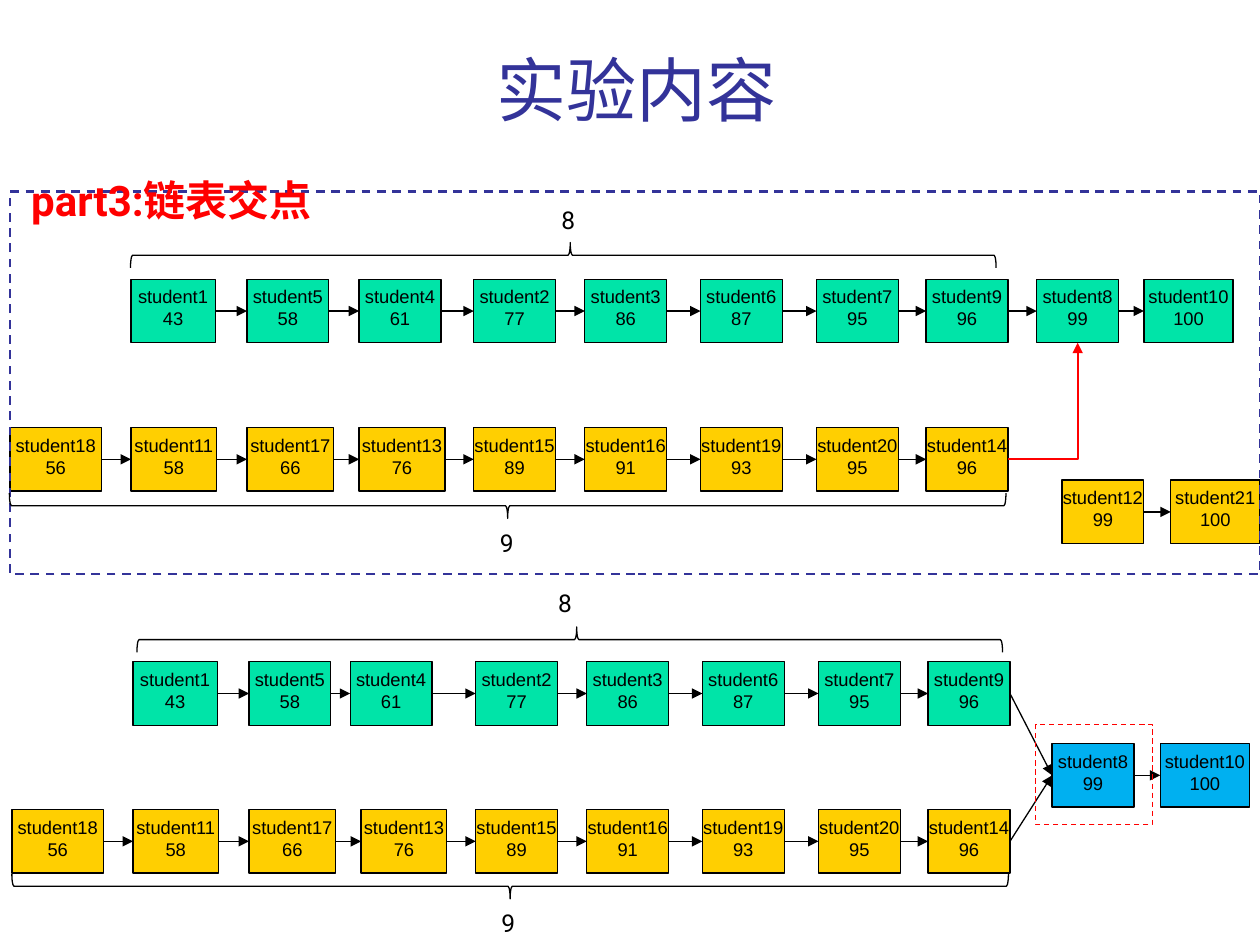
"""Build the slide on two linked lists of students that meet at one node."""
from dataclasses import dataclass
from itertools import pairwise

from lxml.etree import SubElement
from pptx import Presentation
from pptx.dml.color import RGBColor
from pptx.enum.dml import MSO_LINE
from pptx.enum.shapes import MSO_CONNECTOR, MSO_SHAPE
from pptx.enum.text import MSO_ANCHOR, PP_ALIGN
from pptx.oxml.ns import qn
from pptx.util import Cm, Pt


@dataclass(frozen=True)
class Theme:
    black: RGBColor = RGBColor(0x00, 0x00, 0x00)
    red: RGBColor = RGBColor(0xFF, 0x00, 0x00)
    navy: RGBColor = RGBColor(0x33, 0x33, 0x99)
    green: RGBColor = RGBColor(0x00, 0xE4, 0xA8)
    gold: RGBColor = RGBColor(0xFF, 0xCF, 0x01)
    blue: RGBColor = RGBColor(0x00, 0xB0, 0xF0)
    heading: str = "Roboto"
    body: str = "Arial"
    title_size: float = 40
    part_size: float = 24
    count_size: float = 14
    node_size: float = 10.5


theme = Theme()


def write(frame, lines, color, align, frame_format, font_format):
    for name, value in frame_format.items():
        setattr(frame, name, value)
    frame.text = "\n".join(lines)
    for paragraph in frame.paragraphs:
        paragraph.alignment = align
        for name, value in font_format.items():
            setattr(paragraph.runs[0].font, name, value)
        paragraph.runs[0].font.color.rgb = color


def add_outline(preset, box, color, weight=0.75, fill=None, dash=None):
    shape = slide.shapes.add_shape(preset, *map(Cm, box))
    shape.shadow.inherit = False
    if fill is None:
        shape.fill.background()
    else:
        shape.fill.solid()
        shape.fill.fore_color.rgb = fill
    shape.line.color.rgb = color
    for name, value in {"width": Pt(weight), "dash_style": dash}.items():
        setattr(shape.line, name, value)
    return shape


deck = Presentation()
deck.slide_width, deck.slide_height = Cm(25.4), Cm(19.05)
slide = deck.slides.add_slide(deck.slide_layouts[5])

title = slide.shapes.title
title_box = {"left": Cm(2.11), "top": Cm(0.64), "width": Cm(21.44), "height": Cm(2.11)}
for name, value in title_box.items():
    setattr(title, name, value)
write(title.text_frame, ["实验内容"], theme.navy, PP_ALIGN.CENTER,
      {"vertical_anchor": MSO_ANCHOR.BOTTOM, "word_wrap": True},
      {"name": theme.heading, "size": Pt(theme.title_size)})

scores = {1: 43, 5: 58, 4: 61, 2: 77, 3: 86, 6: 87, 7: 95, 9: 96, 8: 99, 10: 100,
          18: 56, 11: 58, 17: 66, 13: 76, 15: 89, 16: 91, 19: 93, 20: 95, 14: 96,
          12: 99, 21: 100}
node_widths = {1: 1.7, 10: 1.8, 21: 1.8, 18: 1.85, 11: 1.73, 17: 1.75, 13: 1.73}
node_height = 1.28
columns = [0.2, 2.64, 4.98, 7.24, 9.55, 11.79, 14.12, 16.46, 18.67, 20.9, 23.06]
merged_columns = [left + 0.04 for left in columns]
merged_green = [7.06 if left == columns[3] else left + 0.04 for left in columns]
green_students = [1, 5, 4, 2, 3, 6, 7, 9]
gold_students = [18, 11, 17, 13, 15, 16, 19, 20, 14]

chains = [
    ("separate", theme.green, 5.63, columns[1:], green_students + [8, 10]),
    ("separate", theme.gold, 8.62, columns, gold_students),
    ("separate", theme.gold, 9.68, [21.41, 23.6], [12, 21]),
    ("merged", theme.green, 13.34, merged_green[1:], green_students),
    ("merged", theme.gold, 16.32, merged_columns, gold_students),
    ("merged", theme.blue, 14.99, [21.21, 23.39], [8, 10]),
]
nodes = {}
links = []
for stage, fill, top, lefts, students in chains:
    for left, student in zip(lefts, students):
        box = (left, top, node_widths.get(student, 1.65), node_height)
        node = add_outline(MSO_SHAPE.RECTANGLE, box, theme.black, fill=fill)
        write(node.text_frame, [f"student{student}", str(scores[student])],
              theme.black, PP_ALIGN.CENTER,
              {"vertical_anchor": MSO_ANCHOR.TOP, "word_wrap": False},
              {"name": theme.body, "size": Pt(theme.node_size)})
        nodes[stage, student] = node
    links += [(stage, start, end) for start, end in pairwise(students)]
links += [("merged", 9, 8), ("merged", 14, 8), ("separate", 14, 8)]

right_side, left_side, bottom_side = 3, 1, 2
for stage, start, end in links:
    crossing = (stage, start, end) == ("separate", 14, 8)
    route = MSO_CONNECTOR.ELBOW if crossing else MSO_CONNECTOR.STRAIGHT
    arrow = slide.shapes.add_connector(route, 0, 0, 0, 0)
    arrow.begin_connect(nodes[stage, start], right_side)
    arrow.end_connect(nodes[stage, end], bottom_side if crossing else left_side)
    arrow.line.color.rgb = theme.red if crossing else theme.black
    arrow.line.width = Pt(1 if crossing else 0.75)
    properties = arrow.element.spPr
    if crossing:
        properties.find(qn("a:prstGeom")).set("prst", "bentConnector2")
    SubElement(properties.find(qn("a:ln")), qn("a:tailEnd"), type="triangle")
    SubElement(properties, qn("a:effectLst"))

frames = [
    ((0.2, 3.86, 25.2, 7.72), theme.navy, 1.25),
    ((20.88, 14.61, 2.36, 2.01), theme.red, 0.75),
]
for box, color, weight in frames:
    add_outline(MSO_SHAPE.RECTANGLE, box, color, weight, dash=MSO_LINE.DASH)

braces = [
    ((11.1, -3.58, 0.51, 17.45), 90, 0.492),
    ((9.98, 0.15, 0.51, 20.09), 270, 0.5),
    ((11.23, 4.17, 0.51, 17.45), 90, 0.492),
    ((10.03, 7.82, 0.51, 20.09), 270, 0.5),
]
for box, rotation, tip in braces:
    brace = add_outline(MSO_SHAPE.LEFT_BRACE, box, theme.black)
    brace.rotation = rotation
    brace.adjustments[1] = tip

captions = [
    ("part3:链表交点", (0.38, 3.4, 8.97, 1.27), theme.red, theme.part_size, True),
    ("8", (11.07, 4.01, 1.63, 0.86), theme.black, theme.count_size, False),
    ("9", (9.83, 10.52, 1.63, 0.86), theme.black, theme.count_size, False),
    ("8", (11, 11.73, 1.63, 0.86), theme.black, theme.count_size, False),
    ("9", (9.86, 18.19, 1.63, 0.86), theme.black, theme.count_size, False),
]
for caption, box, color, size, bold in captions:
    label = slide.shapes.add_textbox(*map(Cm, box))
    write(label.text_frame, [caption], color, PP_ALIGN.LEFT, {"word_wrap": True},
          {"name": theme.heading, "size": Pt(size), "bold": bold})

deck.save("out.pptx")
